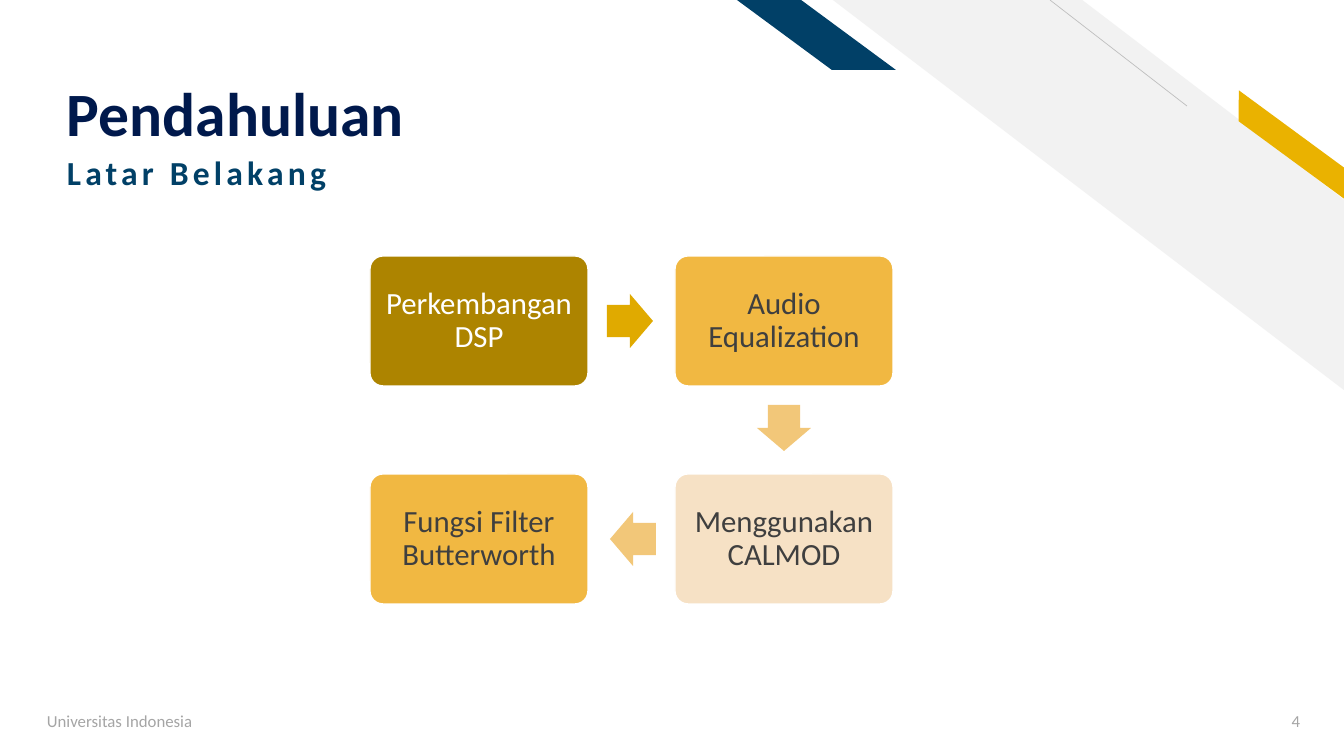
"""Build the Pendahuluan slide with its four-step flow."""
from typing import NamedTuple

from lxml.etree import SubElement
from pptx import Presentation
from pptx.dml.color import RGBColor
from pptx.enum.shapes import MSO_CONNECTOR, MSO_SHAPE
from pptx.enum.text import MSO_ANCHOR, PP_ALIGN
from pptx.oxml.ns import qn
from pptx.util import Pt

PX = 12192000 / 1344
FONT = "Calibri"
COLORS = {
    "navy": "00194C", "blue": "014067", "gold": "EAB200", "pale": "F2F2F2",
    "rule": "BFBFBF", "muted": "A5A5A5", "white": "FFFFFF", "dark": "3F3F3F",
    "bronze": "AD8400", "amber": "F1B842", "cream": "F6E1C5",
    "strong": "E0AA00", "soft": "F2C779",
}
COL, ROW = (370, 675), (256, 474)
BOX_W, BOX_H = 218, 130
ARROW_W, ARROW_H = 46, 54


class Box(NamedTuple):
    x: int
    y: int
    w: int
    h: int


class Preset(NamedTuple):
    kind: MSO_SHAPE
    box: Box
    fill: str
    adj: tuple[float, ...]
    rot: float = 0
    flip: bool = False


class Label(NamedTuple):
    text: str
    box: Box
    size: int
    color: str
    bold: bool = False
    anchor: MSO_ANCHOR = MSO_ANCHOR.TOP
    align: PP_ALIGN = PP_ALIGN.LEFT
    line: float = 1
    bottom: int = 5
    spacing: int = 0


class Step(NamedTuple):
    text: str
    col: int
    row: int
    fill: str
    color: str = "dark"


def emu(px: float) -> int:
    return round(px * PX)


def rgb(name: str) -> RGBColor:
    return RGBColor.from_string(COLORS[name])


def place(box: Box) -> list[int]:
    return [emu(v) for v in box]


def add_preset(shapes, item: Preset):
    sp = shapes.add_shape(item.kind, *place(item.box))
    sp.shadow.inherit = False
    sp.fill.solid()
    sp.fill.fore_color.rgb = rgb(item.fill)
    sp.line.fill.background()
    for i, value in enumerate(item.adj):
        sp.adjustments[i] = value
    sp.rotation = item.rot
    if item.flip:
        sp.element.spPr.find(qn("a:xfrm")).set("flipH", "1")
    return sp


def add_run(p, text: str, size: int, color: str, bold: bool = False):
    r = p.add_run()
    r.text = text
    r.font.name, r.font.size, r.font.bold = FONT, Pt(size), bold
    r.font.color.rgb = rgb(color)
    return r


def add_label(shapes, item: Label) -> None:
    tf = shapes.add_textbox(*place(item.box)).text_frame
    tf.word_wrap = True
    tf.vertical_anchor = item.anchor
    tf.margin_bottom = emu(item.bottom)
    p = tf.paragraphs[0]
    p.alignment, p.line_spacing = item.align, item.line
    r = add_run(p, item.text, item.size, item.color, item.bold)
    if item.spacing:
        r.font._element.set("spc", str(item.spacing * 100))


def add_step(shapes, item: Step) -> None:
    box = Box(COL[item.col], ROW[item.row], BOX_W, BOX_H)
    sp = add_preset(shapes, Preset(MSO_SHAPE.ROUNDED_RECTANGLE, box, item.fill, (0.1,)))
    sp.line.color.rgb = rgb("white")
    sp.line.width = Pt(1)
    tf = sp.text_frame
    tf.word_wrap = True
    tf.vertical_anchor = MSO_ANCHOR.MIDDLE
    tf.margin_left = tf.margin_right = tf.margin_top = tf.margin_bottom = emu(9)
    p = tf.paragraphs[0]
    p.alignment, p.line_spacing = PP_ALIGN.CENTER, 0.9
    add_run(p, item.text, 22, item.color)


def add_rule(shapes, x1: int, y1: int, x2: int, y2: int) -> None:
    ln = shapes.add_connector(MSO_CONNECTOR.STRAIGHT, *map(emu, (x1, y1, x2, y2)))
    ln.line.color.rgb = rgb("rule")
    ln.line.width = Pt(0.5)
    SubElement(ln.element.spPr, qn("a:effectLst"))


def arrow(x: int, y: int, fill: str, rot: int = 0) -> Preset:
    return Preset(MSO_SHAPE.RIGHT_ARROW, Box(x, y, ARROW_W, ARROW_H), fill, (0.6, 0.5), rot)


STRIPE = Preset(MSO_SHAPE.DIAGONAL_STRIPE, Box(833, 0, 511, 390), "pale", (0.512,), flip=True)
BANDS = [
    Preset(MSO_SHAPE.PARALLELOGRAM, Box(1217, 132, 149, 25), "gold", (0.72,), 36.3, True),
    Preset(MSO_SHAPE.PARALLELOGRAM, Box(737, 0, 159, 70), "blue", (1.356,), flip=True),
]
LABELS = [
    Label("Pendahuluan", Box(57, 23, 918, 127), 44, "navy", True,
          MSO_ANCHOR.BOTTOM, line=0.9, bottom=0),
    Label("Latar Belakang", Box(57, 151, 812, 68), 24, "blue", True, line=0.9, spacing=3),
    Label("Universitas Indonesia", Box(37, 701, 454, 40), 12, "muted", anchor=MSO_ANCHOR.MIDDLE),
    Label("4", Box(1229, 701, 81, 40), 12, "muted", anchor=MSO_ANCHOR.MIDDLE,
          align=PP_ALIGN.RIGHT),
]
STEPS = [
    Step("Perkembangan DSP", 0, 0, "bronze", "white"),
    Step("Audio Equalization", 1, 0, "amber"),
    Step("Menggunakan CALMOD", 1, 1, "cream"),
    Step("Fungsi Filter Butterworth", 0, 1, "amber"),
]
ARROWS = [arrow(607, 294, "strong"), arrow(761, 401, "soft", 90), arrow(610, 512, "soft", 180)]


def main() -> None:
    prs = Presentation()
    prs.slide_width, prs.slide_height = emu(1344), emu(756)
    s = prs.slides.add_slide(prs.slide_layouts[6])
    add_preset(s.shapes, STRIPE)
    add_rule(s.shapes, 1187, 106, 1050, 0)
    for item in BANDS:
        add_preset(s.shapes, item)
    for item in LABELS:
        add_label(s.shapes, item)
    for item in STEPS:
        add_step(s.shapes, item)
    for item in ARROWS:
        add_preset(s.shapes, item)
    prs.save("out.pptx")


main()
